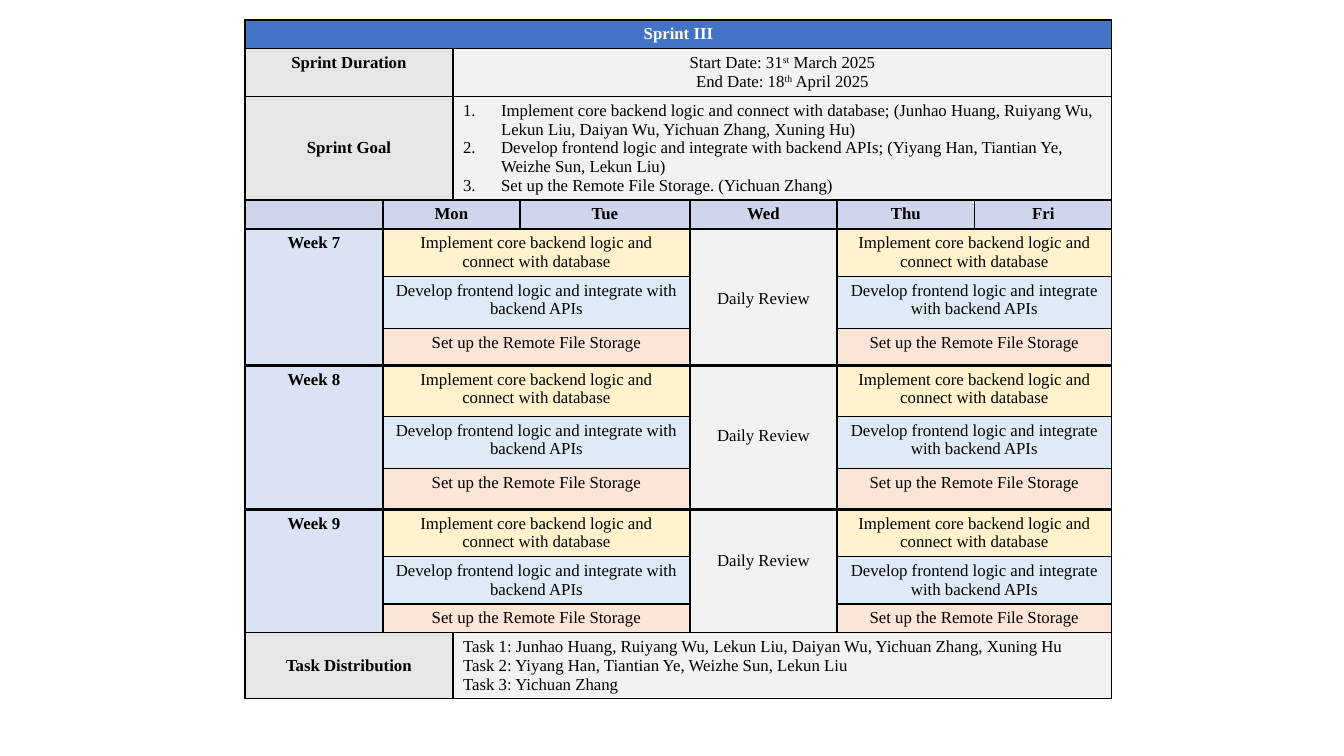
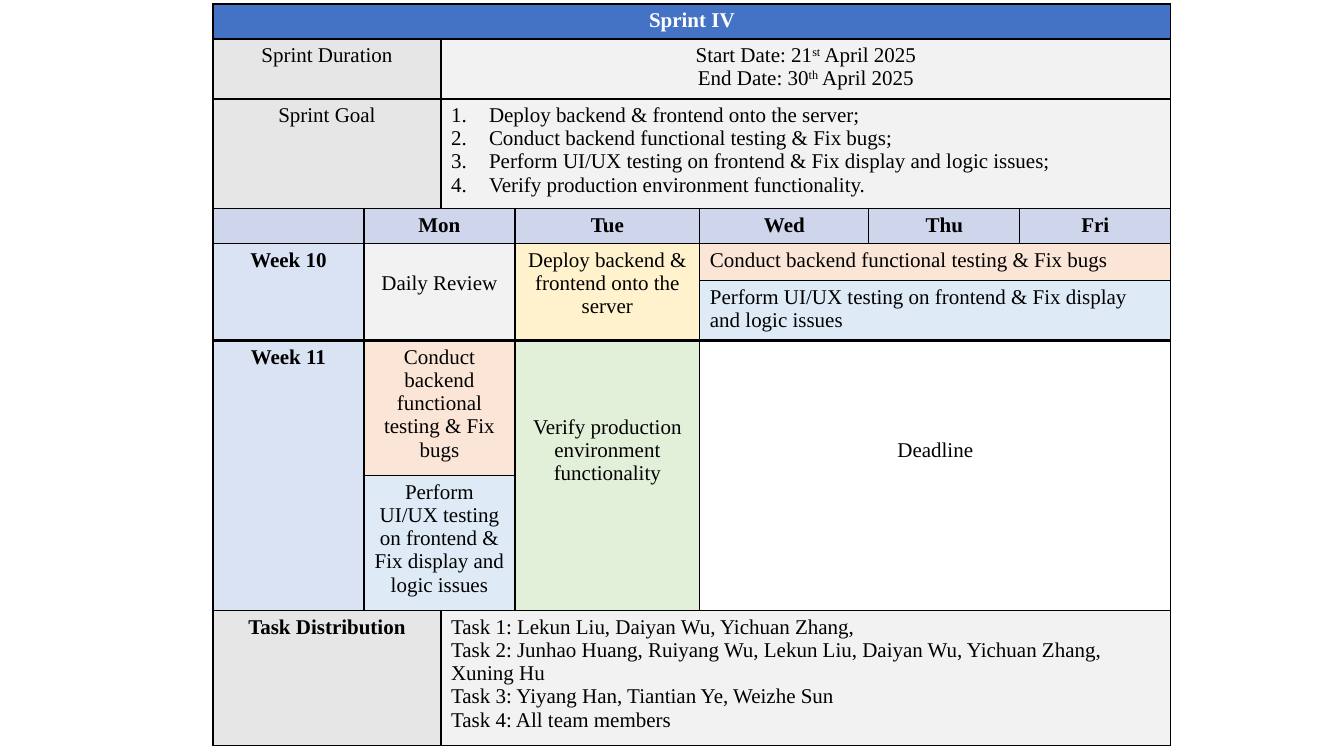
from lxml.etree import SubElement
from pptx import Presentation
from pptx.dml.color import RGBColor
from pptx.enum.text import PP_ALIGN
from pptx.oxml.ns import qn
from pptx.util import Pt

EMU_PER_PX = 914400 / 100.8
FONT = "Times New Roman"
LINE_HEIGHT = 1.11  # of the text size
PX_PER_PT = 1.4
DAYS = ["Mon", "Tue", "Wed", "Thu", "Fri"]
COLORS = {
    "black": "000000",
    "white": "FFFFFF",
    "title": "4472C4",
    "label": "E7E6E6",
    "plain": "F2F2F2",
    "days": "CFD5EA",
    "week": "DAE3F3",
    "yellow": "FFF2CC",
    "blue": "DEEBF7",
    "orange": "FBE5D6",
    "green": "E2F0D9",
}


def px(length):
    return round(length * EMU_PER_PX)


def rgb(name):
    return RGBColor.from_string(COLORS[name])


def write(frame, text, size, color="black", bold=False, align=PP_ALIGN.CENTER, numbered=False):
    """Write one paragraph per line; text between ^ marks is superscript."""
    for number, line in enumerate(text.split("\n")):
        paragraph = frame.add_paragraph() if number else frame.paragraphs[0]
        paragraph.alignment = align
        if not line:
            empty_format = paragraph._p.get_or_add_endParaRPr()
            empty_format.set("sz", str(size * 100))
            SubElement(empty_format, qn("a:latin"), typeface=FONT)
            continue
        if numbered:
            properties = paragraph._p.get_or_add_pPr()
            properties.set("marL", str(px(38)))
            properties.set("indent", str(-px(38)))
            SubElement(properties, qn("a:buFont"), typeface="+mj-lt")
            SubElement(properties, qn("a:buAutoNum"), type="arabicPeriod")
        for part, piece in enumerate(line.split("^")):
            run = paragraph.add_run()
            run.text = piece
            run.font.name = FONT
            run.font.size = Pt(size)
            run.font.bold = bold
            run.font.color.rgb = rgb(color)
            if part % 2:
                run._r.get_or_add_rPr().set("baseline", "30000")


class SprintDeck:
    """Slides that each hold one sprint plan as a table."""

    def __init__(self):
        self.presentation = Presentation()
        self.presentation.slide_width = px(1344)
        self.presentation.slide_height = px(756)

    def plan(self, left, top, widths, heights, size, week_breaks):
        """Start a slide; week_breaks are the rows with a thick line above."""
        self.size = size
        self.week_breaks = week_breaks
        slide = self.presentation.slides.add_slide(self.presentation.slide_layouts[6])
        self.table = slide.shapes.add_table(
            len(heights), len(widths), px(left), px(top), px(sum(widths)), px(sum(heights))
        ).table
        self.table.first_row = self.table.horz_banding = False
        for column, width in zip(self.table.columns, widths):
            column.width = px(width)
        for row, height in zip(self.table.rows, heights):
            row.height = px(height)

    def border(self, cell, first_row, end_row):
        properties = cell._tc.get_or_add_tcPr()
        top, bottom = (2.25 if row in self.week_breaks else 1 for row in (first_row, end_row))
        for side, width in (("L", 1), ("R", 1), ("T", top), ("B", bottom)):
            line = SubElement(properties, qn(f"a:ln{side}"), w=str(Pt(width)))
            fill = SubElement(line, qn("a:solidFill"))
            SubElement(fill, qn("a:srgbClr"), val=COLORS["black"])

    def cell(self, row, col, text, fill, rows=1, cols=1, drop=0, **text_format):
        """Fill a block of cells; drop is the number of lines to leave above."""
        origin = self.table.cell(row, col)
        if rows * cols > 1:
            origin.merge(self.table.cell(row + rows - 1, col + cols - 1))
        for r in range(row, row + rows):
            for c in range(col, col + cols):
                part = self.table.cell(r, c)
                self.border(part, row, row + rows)
                part.fill.solid()
                part.fill.fore_color.rgb = rgb(fill)
        origin.margin_top = px(round(5 + drop * self.size * LINE_HEIGHT * PX_PER_PT))
        write(origin.text_frame, text, self.size, **text_format)

    def labelled(self, row, label, text, label_bold=True, drop=0, **text_format):
        self.cell(row, 0, label, "label", cols=2, drop=drop, bold=label_bold)
        self.cell(row, 2, text, "plain", cols=5, **text_format)

    def heading(self, title, dates, goals, label_bold=True, goal_drop=0):
        self.cell(0, 0, title, "title", cols=7, color="white", bold=True)
        self.labelled(1, "Sprint Duration", dates, label_bold)
        self.labelled(2, "Sprint Goal", goals, label_bold, goal_drop,
                      align=PP_ALIGN.LEFT, numbered=True)
        self.cell(3, 0, "", "days")
        self.cell(3, 1, DAYS[0], "days", cols=2, bold=True)
        for col, day in enumerate(DAYS[1:], 3):
            self.cell(3, col, day, "days", bold=True)

    def week(self, row, number, rows):
        self.cell(row, 0, f"Week {number}", "week", rows=rows, bold=True)

    def tasks(self, text, drop=0):
        self.labelled(len(self.table.rows) - 1, "Task Distribution", text, drop=drop,
                      align=PP_ALIGN.LEFT)


def sprint_three(deck):
    deck.plan(245, 20, [138, 70, 67, 170, 147, 138, 137],
              [28, 48, 103, 29, 47, 52, 37, 51, 52, 41, 47, 47, 29, 66], 12, {7, 10})
    backend = "Implement core backend logic and connect with database"
    frontend = "Develop frontend logic and integrate with backend APIs"
    storage = "Set up the Remote File Storage"
    deck.heading(
        "Sprint III",
        "Start Date: 31^st^ March 2025\nEnd Date: 18^th^ April 2025",
        f"{backend}; (Junhao Huang, Ruiyang Wu, Lekun Liu, Daiyan Wu, Yichuan Zhang, Xuning Hu)\n"
        f"{frontend}; (Yiyang Han, Tiantian Ye, Weizhe Sun, Lekun Liu)\n"
        f"{storage}. (Yichuan Zhang)",
        goal_drop=2,
    )
    jobs = [(backend, "yellow"), (frontend, "blue"), (storage, "orange")]
    for row, number, review_drop in ((4, 7, 3), (7, 8, 3), (10, 9, 2)):
        deck.week(row, number, 3)
        deck.cell(row, 4, "Daily Review", "plain", rows=3, drop=review_drop)
        for job_row, (job, fill) in enumerate(jobs, row):
            deck.cell(job_row, 1, job, fill, cols=3)
            deck.cell(job_row, 5, job, fill, cols=2)
    deck.tasks(
        "Task 1: Junhao Huang, Ruiyang Wu, Lekun Liu, Daiyan Wu, Yichuan Zhang, Xuning Hu\n"
        "Task 2: Yiyang Han, Tiantian Ye, Weizhe Sun, Lekun Liu\n"
        "Task 3: Yichuan Zhang",
        drop=1,
    )


def sprint_four(deck):
    deck.plan(213, 4, [151, 77, 74, 185, 169, 151, 151],
              [35, 60, 110, 35, 37, 60, 135, 135, 135], 15, {6})
    deploy = "Deploy backend & frontend onto the server"
    backend_test = "Conduct backend functional testing & Fix bugs"
    frontend_test = "Perform UI/UX testing on frontend & Fix display and logic issues"
    verify = "Verify production environment functionality"
    deck.heading(
        "Sprint IV",
        "Start Date: 21^st^ April 2025\nEnd Date: 30^th^ April 2025",
        f"{deploy};\n{backend_test};\n{frontend_test};\n{verify}.",
        label_bold=False,
    )
    deck.week(4, 10, 2)
    deck.cell(4, 1, "Daily Review", "plain", rows=2, cols=2, drop=1)
    deck.cell(4, 3, deploy, "yellow", rows=2)
    deck.week(6, 11, 2)
    for offset, (test, fill) in enumerate(((backend_test, "orange"), (frontend_test, "blue"))):
        deck.cell(4 + offset, 4, test, fill, cols=3, align=PP_ALIGN.LEFT)
        deck.cell(6 + offset, 1, test, fill, cols=2)
    deck.cell(6, 3, verify, "green", rows=2, drop=3)
    deck.cell(6, 4, "Deadline", "white", rows=2, cols=3, drop=4)
    deck.tasks(
        "Task 1: Lekun Liu, Daiyan Wu, Yichuan Zhang,\n"
        "Task 2: Junhao Huang, Ruiyang Wu, Lekun Liu, Daiyan Wu, Yichuan Zhang, Xuning Hu\n"
        "Task 3: Yiyang Han, Tiantian Ye, Weizhe Sun\n"
        "Task 4: All team members"
    )


def main():
    deck = SprintDeck()
    sprint_three(deck)
    sprint_four(deck)
    deck.presentation.save("out.pptx")


if __name__ == "__main__":
    main()
